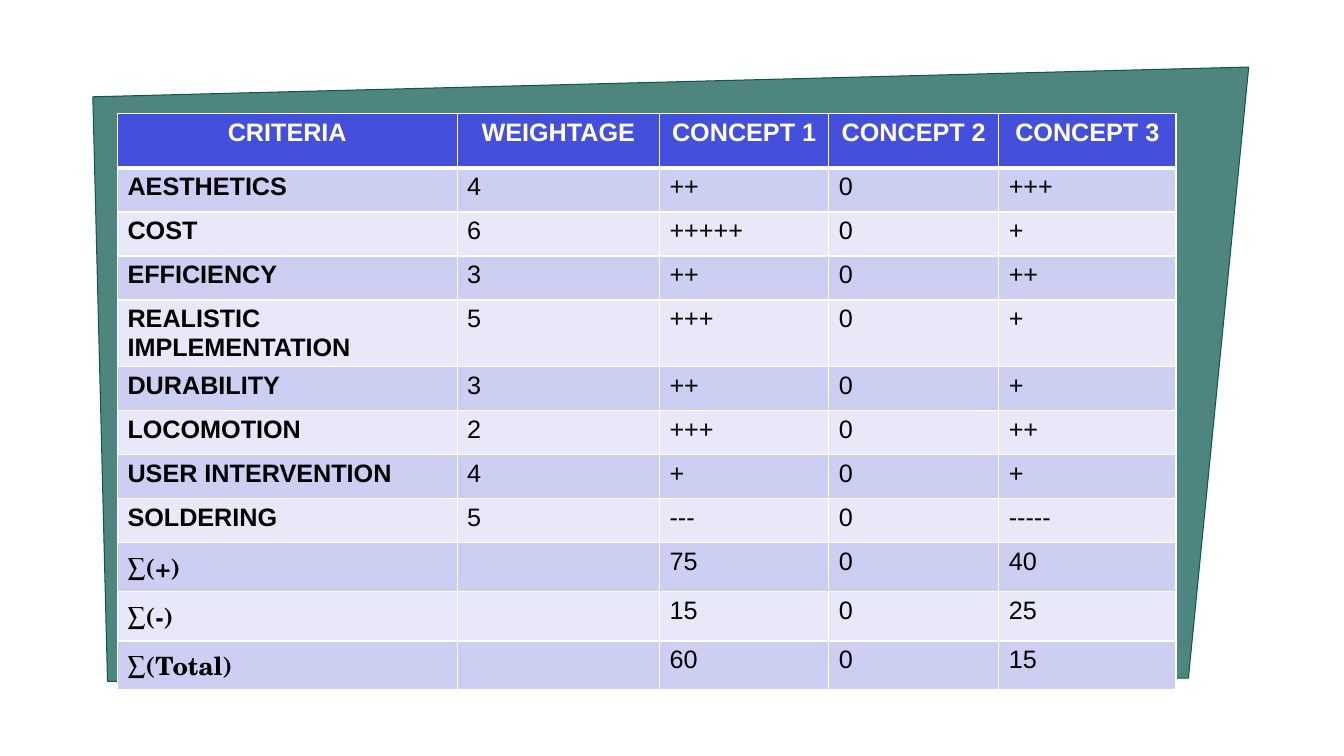
from dataclasses import dataclass

from lxml.etree import SubElement
from pptx import Presentation
from pptx.dml.color import RGBColor
from pptx.enum.text import PP_ALIGN
from pptx.oxml import parse_xml
from pptx.oxml.ns import nsdecls, qn
from pptx.util import Cm, Pt

BODY_FONT = "Arial"
SUM_FONT = "TeX Gyre Schola"
WHITE, BLACK = "FFFFFF", "000000"
TEAL, HEADER_BLUE = "0F5850", "444FDC"
BAND_FILLS = ("CDCFF2", "E8E8F8")

PANEL_CORNERS = ((2.71, 17.17), (2.34, 2.44), (31.47, 1.69), (29.95, 17.09))
TABLE_LEFT, TABLE_TOP = 2.96, 2.86
COLUMN_WIDTHS = (8.56, 5.1, 4.27, 4.28, 4.47)
HEADER_HEIGHT, ROW_HEIGHT = 1.37, 1.11
HEADINGS = ("CRITERIA", "WEIGHTAGE", "CONCEPT 1", "CONCEPT 2", "CONCEPT 3")


@dataclass(frozen=True)
class Criterion:
    name: str
    weightage: str
    concept_1: str
    concept_3: str
    concept_2: str = "0"
    name_font: str = BODY_FONT

    def values(self) -> tuple:
        return (self.name, self.weightage, self.concept_1, self.concept_2, self.concept_3)


CRITERIA = (
    Criterion("AESTHETICS", "4", "++", "+++"),
    Criterion("COST", "6", "+++++", "+"),
    Criterion("EFFICIENCY", "3", "++", "++"),
    Criterion("REALISTIC IMPLEMENTATION", "5", "+++", "+"),
    Criterion("DURABILITY", "3", "++", "+"),
    Criterion("LOCOMOTION", "2", "+++", "++"),
    Criterion("USER INTERVENTION", "4", "+", "+"),
    Criterion("SOLDERING", "5", "---", "-----"),
    Criterion("∑(+)", "", "75", "40", name_font=SUM_FONT),
    Criterion("∑(-)", "", "15", "25", name_font=SUM_FONT),
    Criterion("∑(Total)", "", "60", "15", name_font=SUM_FONT),
)


def paint(fill, color: str) -> None:
    fill.solid()
    fill.fore_color.rgb = RGBColor.from_string(color)


def draw_panel(slide) -> None:
    corners = [(Cm(x), Cm(y)) for x, y in PANEL_CORNERS]
    builder = slide.shapes.build_freeform(*corners[0])
    builder.add_line_segments(corners[1:], close=True)
    panel = builder.convert_to_shape()
    panel.shadow.inherit = False
    paint(panel.fill, TEAL)
    paint(panel.line.fill, TEAL)
    panel.line.width = Pt(0.75)
    fill_color = panel.fill._xPr.find(qn("a:solidFill"))[0]
    SubElement(fill_color, qn("a:alpha"), val="73000")


def set_borders(cell, top: float, bottom: float) -> None:
    properties = cell._tc.get_or_add_tcPr()
    widths = {"lnL": 1, "lnR": 1, "lnT": top, "lnB": bottom}
    for position, (side, width) in enumerate(widths.items()):
        properties.insert(position, parse_xml(
            f'<a:{side} {nsdecls("a")} w="{Pt(width)}"><a:solidFill>'
            f'<a:srgbClr val="{WHITE}"/></a:solidFill></a:{side}>'))


def write_cell(cell, text: str, fill: str, color: str = BLACK, font: str = BODY_FONT,
               bold: bool = False, centred: bool = False) -> None:
    paint(cell.fill, fill)
    if not text:
        return
    paragraph = cell.text_frame.paragraphs[0]
    paragraph.alignment = PP_ALIGN.CENTER if centred else PP_ALIGN.LEFT
    run = paragraph.add_run()
    run.text = text
    run.font.name = font
    run.font.size = Pt(18)
    run.font.bold = bold
    paint(run.font.fill, color)


def draw_table(slide) -> None:
    height = HEADER_HEIGHT + ROW_HEIGHT * len(CRITERIA)
    table = slide.shapes.add_table(
        len(CRITERIA) + 1, len(HEADINGS), Cm(TABLE_LEFT), Cm(TABLE_TOP),
        Cm(sum(COLUMN_WIDTHS)), Cm(height)).table
    for column, width in zip(table.columns, COLUMN_WIDTHS):
        column.width = Cm(width)
    for index, row in enumerate(table.rows):
        row.height = Cm(ROW_HEIGHT if index else HEADER_HEIGHT)

    # Header row
    for column, heading in enumerate(HEADINGS):
        cell = table.cell(0, column)
        write_cell(cell, heading, HEADER_BLUE, WHITE, bold=True, centred=True)
        set_borders(cell, top=1, bottom=3)

    # Banded criteria rows
    for row, criterion in enumerate(CRITERIA, start=1):
        for column, value in enumerate(criterion.values()):
            cell = table.cell(row, column)
            is_name = column == 0
            write_cell(cell, value, BAND_FILLS[(row - 1) % 2], bold=is_name,
                       font=criterion.name_font if is_name else BODY_FONT)
            set_borders(cell, top=3 if row == 1 else 1, bottom=1)


def main() -> None:
    presentation = Presentation()
    presentation.slide_width = Cm(33.87)
    presentation.slide_height = Cm(19.05)
    slide = presentation.slides.add_slide(presentation.slide_layouts[6])
    draw_panel(slide)
    draw_table(slide)
    presentation.save("out.pptx")


if __name__ == "__main__":
    main()
